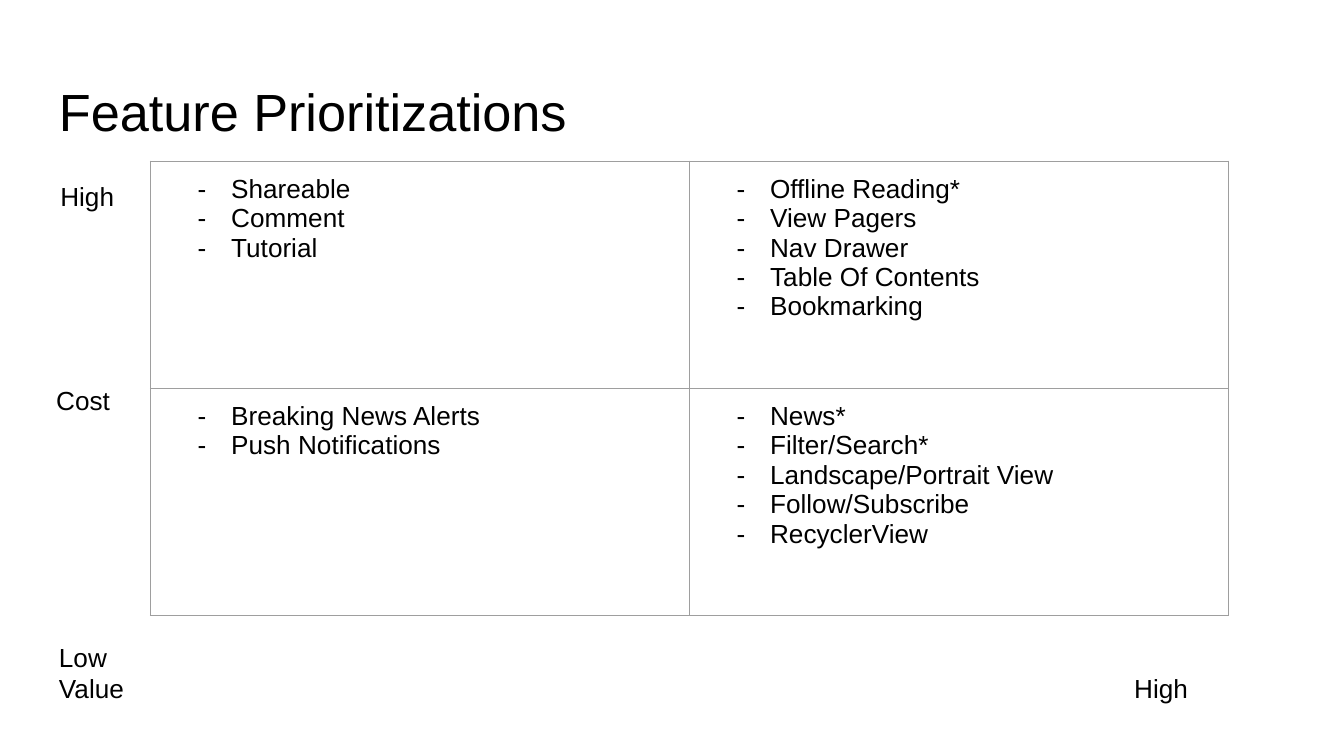
from lxml import etree
from pptx import Presentation
from pptx.dml.color import RGBColor
from pptx.enum.text import MSO_ANCHOR
from pptx.oxml.ns import qn
from pptx.util import Inches, Pt

COLORS = {"text": "000000", "border": "9E9E9E", "background": "FFFFFF"}
MARGIN = Inches(0.1)


def write_text(frame, lines, size=14, bullet=None, tab_stop=None):
    for index, line in enumerate(lines):
        paragraph = frame.paragraphs[0] if index == 0 else frame.add_paragraph()
        run = paragraph.add_run()
        run.text = line
        run.font.name = "Arial"
        run.font.size = Pt(size)
        run.font.color.rgb = RGBColor.from_string(COLORS["text"])
        properties = paragraph._p.get_or_add_pPr()
        if bullet:
            properties.set("marL", str(Inches(0.5)))
            properties.set("indent", str(-Inches(0.25)))
            etree.SubElement(properties, qn("a:buFont"), typeface="Arial")
            etree.SubElement(properties, qn("a:buChar"), char=bullet)
        if tab_stop:
            tabs = etree.SubElement(properties, qn("a:tabLst"))
            etree.SubElement(tabs, qn("a:tab"), pos=str(tab_stop), algn="l")


presentation = Presentation()
presentation.slide_width = Inches(10)
presentation.slide_height = Inches(10) * 9 // 16
slide = presentation.slides.add_slide(presentation.slide_layouts[6])
slide.background.fill.solid()
slide.background.fill.fore_color.rgb = RGBColor.from_string(COLORS["background"])

labels = [
    (0.34, 0.49, 9.32, 0.63, ["Feature Prioritizations"], {"size": 28}),
    (0.35, 1.24, 0.65, 0.32, ["High"], {}),
    (0.32, 2.76, 0.7, 0.38, ["Cost"], {}),
    (0.34, 4.67, 9.32, 0.46, ["Low", "Value\tHigh"], {"tab_stop": Inches(8)}),
]
for left, top, width, height, lines, style in labels:
    label = slide.shapes.add_textbox(Inches(left), Inches(top), Inches(width), Inches(height))
    frame = label.text_frame
    frame.word_wrap = True
    frame.vertical_anchor = MSO_ANCHOR.TOP
    frame.margin_left = frame.margin_right = MARGIN
    frame.margin_top = frame.margin_bottom = MARGIN
    write_text(frame, lines, **style)

features = [
    [
        ["Shareable", "Comment", "Tutorial"],
        ["Offline Reading*", "View Pagers", "Nav Drawer", "Table Of Contents", "Bookmarking"],
    ],
    [
        ["Breaking News Alerts", "Push Notifications"],
        ["News*", "Filter/Search*", "Landscape/Portrait View", "Follow/Subscribe", "RecyclerView"],
    ],
]
matrix = slide.shapes.add_table(
    2, 2, Inches(1.12), Inches(1.2), Inches(8.02), Inches(3.38)
).table
matrix.first_row = False
matrix.horz_banding = False
for column in matrix.columns:
    column.width = Inches(4.01)
for row, feature_row in zip(matrix.rows, features):
    row.height = Inches(1.69)
    for cell, names in zip(row.cells, feature_row):
        cell.margin_left = cell.margin_right = MARGIN
        cell.margin_top = cell.margin_bottom = MARGIN
        write_text(cell.text_frame, names, bullet="-")
        properties = cell._tc.get_or_add_tcPr()
        for side in ("a:lnL", "a:lnR", "a:lnT", "a:lnB"):
            border = etree.SubElement(properties, qn(side), w=str(Pt(0.75)))
            fill = etree.SubElement(border, qn("a:solidFill"))
            etree.SubElement(fill, qn("a:srgbClr"), val=COLORS["border"])
        cell.fill.background()

presentation.save("out.pptx")
